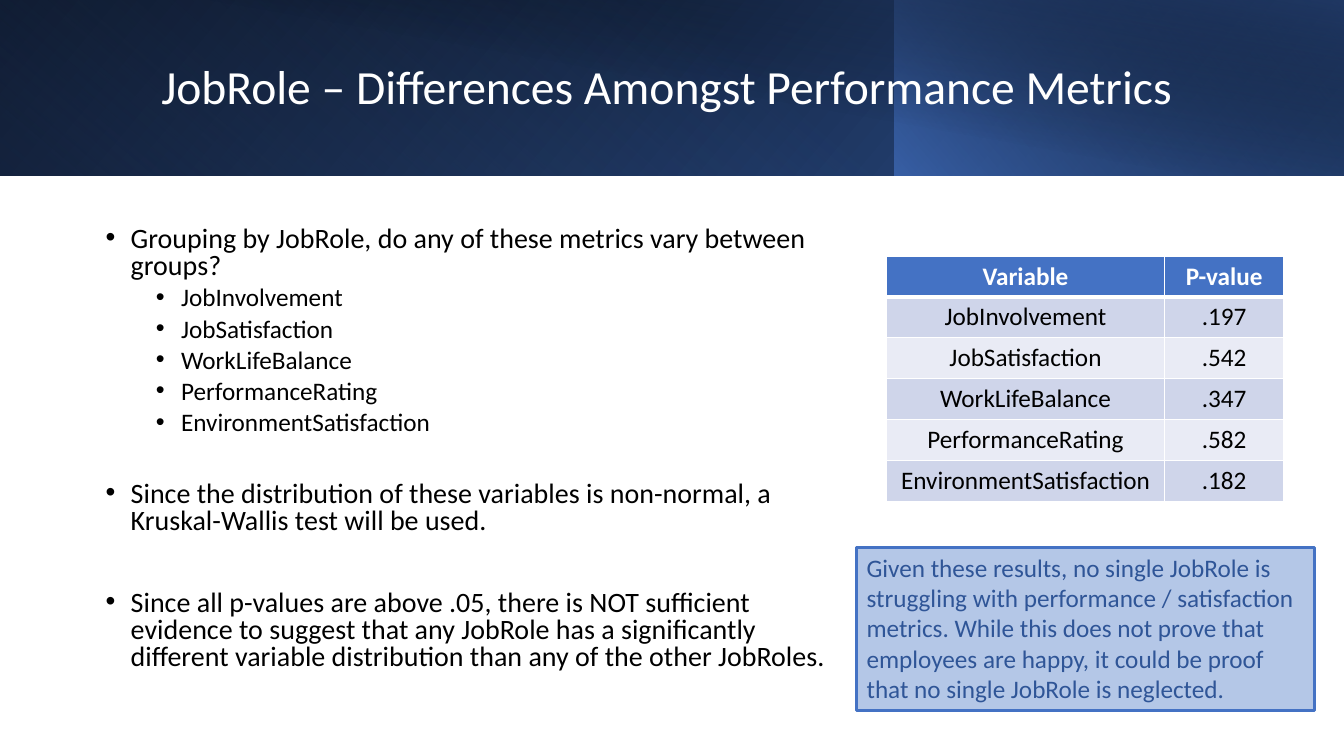
from lxml import etree
from pptx import Presentation
from pptx.dml.color import RGBColor
from pptx.enum.shapes import MSO_SHAPE as SHAPE
from pptx.enum.text import MSO_ANCHOR as ANCHOR, MSO_AUTO_SIZE as FIT, PP_ALIGN as ALIGN
from pptx.oxml import parse_xml
from pptx.oxml.ns import nsdecls, qn
from pptx.util import Cm, Pt


class Theme:
    """Colours, type sizes and font of the slide."""
    font = "Calibri"
    title, body, small = 34, 20, 18
    black, white = "000000", "FFFFFF"
    accent, deep, navy, pale = "4472C4", "2F5597", "203864", "B4C7E7"
    bands = "CFD5EA", "E9EBF5"


TITLE = "JobRole – Differences Amongst Performance Metrics"
RESULTS = [
    ("JobInvolvement", ".197"),
    ("JobSatisfaction", ".542"),
    ("WorkLifeBalance", ".347"),
    ("PerformanceRating", ".582"),
    ("EnvironmentSatisfaction", ".182"),
]
HEADER = "Variable", "P-value"
# (text, level, points before)
BULLETS = [
    ("Grouping by JobRole, do any of these metrics vary between groups?", 0, 10),
    *((name, 1, 5) for name, _ in RESULTS),
    ("Since the distribution of these variables is non-normal, "
     "a Kruskal-Wallis test will be used.", 0, 32.6),
    ("Since all p-values are above .05, there is NOT sufficient evidence to suggest "
     "that any JobRole has a significantly different variable distribution "
     "than any of the other JobRoles.", 0, 39.5),
]
CONCLUSION = ("Given these results, no single JobRole is struggling with performance / "
              "satisfaction metrics. While this does not prove that employees are happy, "
              "it could be proof that no single JobRole is neglected.")

WIDTH, HEIGHT, BANNER = 33.87, 19.05, 4.42
SPLIT = 22.54
# (left, width, rotation, flipped, angle, stops of (position, colour, opacity))
BANNER_LAYERS = [
    (0, WIDTH, 0, True, 140, [(0, Theme.black, 100), (100, Theme.deep, 100)]),
    (0, SPLIT, 180, True, 230, [(20, Theme.accent, 0), (100, Theme.navy, 55)]),
    (SPLIT, WIDTH - SPLIT, 0, True, 220, [(0, Theme.accent, 66), (100, Theme.black, 30)]),
    (1.27, WIDTH - 1.27, 0, False, 280, [(50, Theme.black, 0), (99, Theme.navy, 52)]),
]


def rgb(color):
    """Turn a hex string into a colour."""
    return RGBColor.from_string(color)


def box(*lengths):
    """Turn centimetres into lengths."""
    return [Cm(n) for n in lengths]


def add_run(p, text, size, color, bold=False):
    """Add one formatted run to a paragraph."""
    r = p.add_run()
    r.text = text
    r.font.name, r.font.size, r.font.bold = Theme.font, Pt(size), bold
    r.font.color.rgb = rgb(color)


def add_rect(slide, *place):
    """Add a rectangle without shadow or outline."""
    sp = slide.shapes.add_shape(SHAPE.RECTANGLE, *box(*place))
    sp.shadow.inherit = False
    sp.line.fill.background()
    return sp


def add_layer(slide, left, width, rotation, flipped, angle, stops):
    """Add one gradient layer of the banner."""
    sp = add_rect(slide, left, 0, width, BANNER)
    sp.rotation = rotation
    props = sp.element.spPr
    if flipped:
        props.find(qn("a:xfrm")).set("flipH", "1")
    marks = "".join(
        f'<a:gs pos="{pos * 1000}"><a:srgbClr val="{color}">'
        f'<a:alpha val="{alpha * 1000}"/></a:srgbClr></a:gs>'
        for pos, color, alpha in stops)
    props.find(qn("a:prstGeom")).addnext(parse_xml(
        f'<a:gradFill {nsdecls("a")} rotWithShape="1"><a:gsLst>{marks}</a:gsLst>'
        f'<a:lin ang="{angle * 60000}" scaled="0"/></a:gradFill>'))


def add_title(slide):
    """Fill the title placeholder and bring it above the banner."""
    sp = slide.shapes.title
    sp.left, sp.top, sp.width, sp.height = box(3.81, 0.81, 27.48, 2.87)
    tf = sp.text_frame
    tf.auto_size, tf.vertical_anchor, tf.word_wrap = FIT.NONE, ANCHOR.MIDDLE, True
    p = tf.paragraphs[0]
    p.alignment, p.line_spacing = ALIGN.LEFT, 0.9
    add_run(p, TITLE, Theme.title, Theme.white)
    slide.shapes._spTree.append(sp.element)


def add_bullets(slide):
    """Add the two-level bullet list."""
    tf = slide.shapes.add_textbox(*box(2.41, 5.59, 18.72, 11.99)).text_frame
    tf.word_wrap = True
    for i, (text, level, before) in enumerate(BULLETS):
        p = tf.add_paragraph() if i else tf.paragraphs[0]
        p.level, p.line_spacing, p.space_before = level, 0.8, Pt(before)
        props = p._p.get_or_add_pPr()
        props.set("marL", str(Cm(0.635 + 1.27 * level)))
        props.set("indent", str(-Cm(0.635)))
        etree.SubElement(props, qn("a:buFont")).set("typeface", "Arial")
        etree.SubElement(props, qn("a:buChar")).set("char", "•")
        add_run(p, text, Theme.small if level else Theme.body, Theme.black)


def set_borders(cell, bottom):
    """Draw white borders, the lower one with its own width."""
    props = cell._tc.get_or_add_tcPr()
    for i, (side, width) in enumerate(zip("LRTB", (1, 1, 1, bottom))):
        props.insert(i, parse_xml(
            f'<a:ln{side} {nsdecls("a")} w="{Pt(width)}"><a:solidFill>'
            f'<a:srgbClr val="{Theme.white}"/></a:solidFill></a:ln{side}>'))


def add_results(slide):
    """Add the table of p-values."""
    rows = [HEADER, *RESULTS]
    widths, height = (6.99, 3.02), 1.03
    table = slide.shapes.add_table(
        len(rows), len(widths),
        *box(22.35, 6.45, sum(widths), height * len(rows))).table
    for column, width in zip(table.columns, widths):
        column.width = Cm(width)
    for i, row in enumerate(rows):
        head = i == 0
        for j, text in enumerate(row):
            cell = table.cell(i, j)
            cell.fill.solid()
            cell.fill.fore_color.rgb = rgb(Theme.accent if head else Theme.bands[(i - 1) % 2])
            set_borders(cell, 3 if head else 1)
            p = cell.text_frame.paragraphs[0]
            p.alignment = ALIGN.CENTER
            add_run(p, text, Theme.small, Theme.white if head else Theme.black, head)


def add_conclusion(slide):
    """Add the framed conclusion."""
    sp = add_rect(slide, 21.59, 13.79, 11.53, 4.11)
    sp.fill.solid()
    sp.fill.fore_color.rgb = rgb(Theme.pale)
    sp.line.color.rgb, sp.line.width = rgb(Theme.accent), Pt(2.25)
    tf = sp.text_frame
    tf.word_wrap, tf.vertical_anchor, tf.auto_size = True, ANCHOR.TOP, FIT.SHAPE_TO_FIT_TEXT
    p = tf.paragraphs[0]
    p.alignment = ALIGN.LEFT
    add_run(p, CONCLUSION, Theme.small, Theme.deep)


prs = Presentation()
prs.slide_width, prs.slide_height = box(WIDTH, HEIGHT)
slide = prs.slides.add_slide(prs.slide_layouts[5])
for layer in BANNER_LAYERS:
    add_layer(slide, *layer)
add_title(slide)
add_bullets(slide)
add_results(slide)
add_conclusion(slide)
prs.save("out.pptx")
